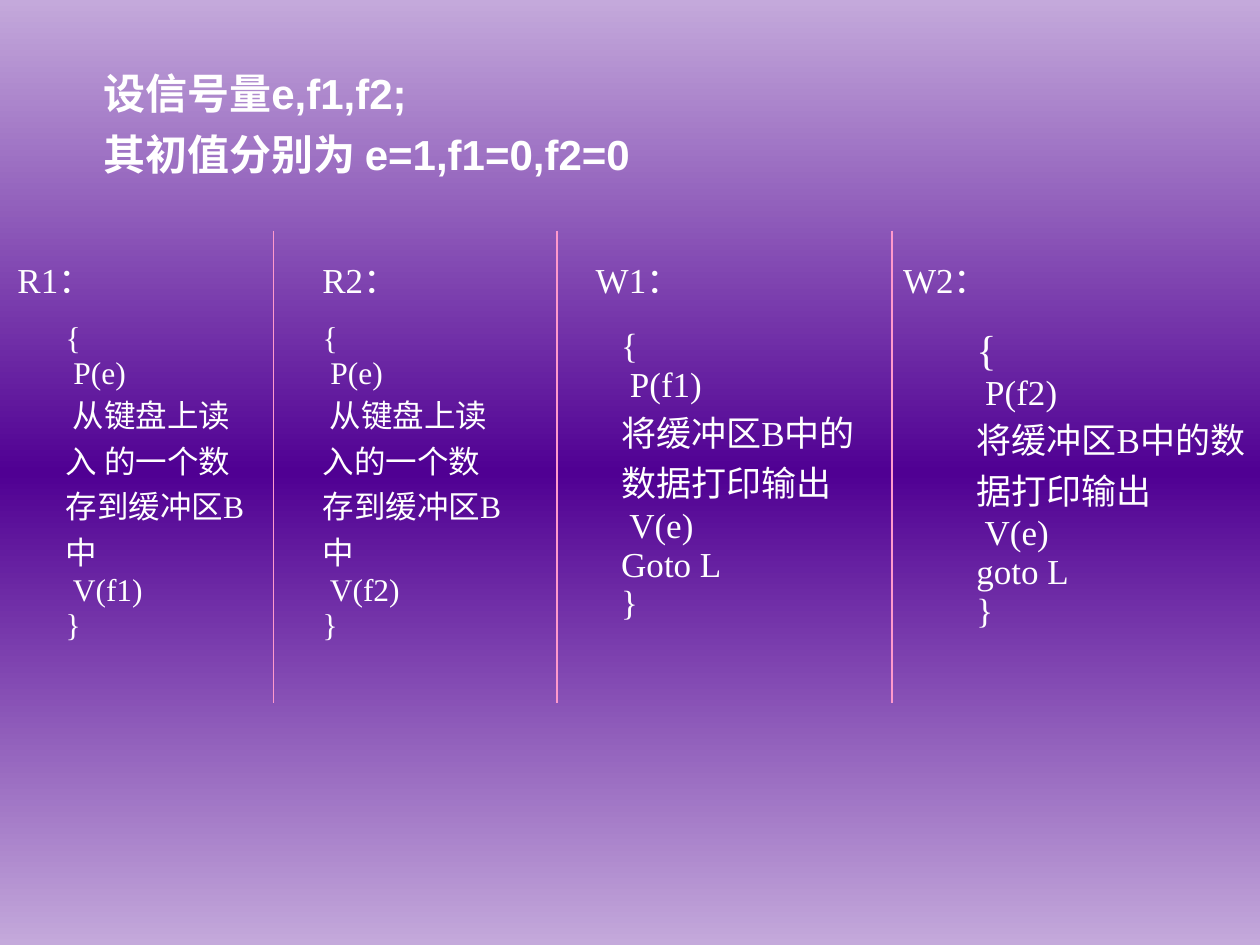
import copy

import pptx
import pptx.dml.color
import pptx.enum.shapes
import pptx.enum.text
import pptx.oxml
import pptx.oxml.ns
import pptx.util
from pptx.util import Inches

COLORS = {"edge": "C4A9DB", "middle": "500093", "text": "FFFFFF", "rule": "FF99CC"}
NO_STYLE = "{2D5ABB26-0587-4C30-8999-92F81FD0307C}"

READERS = [
    ["{", " P(e)", f" 从键盘上读{gap}的一个数存到缓冲区B中", f" V({signal})", "}"]
    for gap, signal in (("入 ", "f1"), ("入", "f2"))
]
WRITERS = [
    ["{", f" P({signal})", "将缓冲区B中的数据打印输出", " V(e)", f"{jump} L", "}"]
    for signal, jump in (("f1", "Goto"), ("f2", "goto"))
]


def rgb(name):
    """Return the named colour."""
    return pptx.dml.color.RGBColor.from_string(COLORS[name])


def format_runs(paragraph, size, font="Times New Roman", bold=False):
    """Format every run of a paragraph."""
    for span in paragraph.runs:
        span.font.name = font
        span.font.size = pptx.util.Pt(size)
        span.font.bold = bold
        span.font.color.rgb = rgb("text")


def paint_background(page):
    """Fill the page with a vertical gradient, dark in the middle."""
    fill = page.background.fill
    fill.gradient()
    fill.gradient_angle = 90
    stop_list = page._element.xpath(".//a:gsLst")[0]
    stop_list.insert(1, copy.deepcopy(stop_list[0]))
    for stop, position, name in zip(
        fill.gradient_stops, (0, 0.5, 1), ("edge", "middle", "edge")
    ):
        stop.position = position
        stop.color.rgb = rgb(name)


def place_title(page, left, top, width, height):
    """Place the two-line heading."""
    title = page.shapes.title
    title.left, title.top, title.width, title.height = left, top, width, height
    frame = title.text_frame
    frame.text = "设信号量e,f1,f2;\n其初值分别为 e=1,f1=0,f2=0"
    frame.word_wrap = True
    frame.auto_size = pptx.enum.text.MSO_AUTO_SIZE.NONE
    frame.vertical_anchor = pptx.enum.text.MSO_ANCHOR.MIDDLE
    for paragraph in frame.paragraphs:
        paragraph.alignment = pptx.enum.text.PP_ALIGN.LEFT
        format_runs(paragraph, 24, "Arial", True)
    frame.paragraphs[1].space_before = pptx.util.Pt(6)


def place_labels(page, left, top, width, height, names, stop):
    """Place a pair of process names, the second at a tab stop."""
    box = page.shapes.add_textbox(left, top, width, height)
    frame = box.text_frame
    frame.word_wrap = True
    frame.vertical_anchor = pptx.enum.text.MSO_ANCHOR.MIDDLE
    paragraph = frame.paragraphs[0]
    paragraph.text = "\t".join(f"{name}：" for name in names)
    tabs = pptx.oxml.parse_xml(
        f'<a:tabLst {pptx.oxml.ns.nsdecls("a")}><a:tab pos="{stop}" algn="l"/></a:tabLst>'
    )
    paragraph._p.get_or_add_pPr().append(tabs)
    format_runs(paragraph, 20)


def place_code(page, left, top, widths, height, programs, size, margin_top):
    """Place two programs in a plain table with a gap column; return the table."""
    table_frame = page.shapes.add_table(1, 3, left, top, sum(widths), height)
    table = table_frame.table
    table.first_row = table.horz_banding = False
    table_frame._element.xpath(".//a:tableStyleId")[0].text = NO_STYLE
    for column, width in zip(table.columns, widths):
        column.width = width
    for cell, lines in zip(table.rows[0].cells, (programs[0], [], programs[1])):
        cell.fill.background()
        cell.margin_top = margin_top
        cell.text_frame.text = "\n".join(lines)
        for paragraph in cell.text_frame.paragraphs:
            format_runs(paragraph, size)
    return table


def place_dividers(page, top, height, positions):
    """Draw the vertical rules between the processes."""
    for left in positions:
        line = page.shapes.add_connector(
            pptx.enum.shapes.MSO_CONNECTOR.STRAIGHT, left, top, left, top + height
        )
        line.line.color.rgb = rgb("rule")
        line.line.width = pptx.util.Pt(0.75)
        line._element.spPr.append(
            pptx.oxml.parse_xml(f'<a:effectLst {pptx.oxml.ns.nsdecls("a")}/>')
        )


def main():
    """Build and save the deck."""
    deck = pptx.Presentation()
    deck.slide_width, deck.slide_height = Inches(10), Inches(7.5)
    page = deck.slides.add_slide(deck.slide_layouts[5])
    paint_background(page)
    place_title(page, Inches(0.72), Inches(0.49), Inches(5), Inches(0.98))
    for left, names, stop in ((0.04, ("R1", "R2"), 2.42), (4.63, ("W1", "W2"), 2.44)):
        place_labels(
            page, Inches(left), Inches(2), Inches(3.5), Inches(0.43), names, Inches(stop)
        )
    place_code(
        page, Inches(0.42), Inches(2.5), [Inches(w) for w in (1.68, 0.36, 1.68)],
        Inches(2.5), READERS, 18, Inches(0.05),
    )
    writers = place_code(
        page, Inches(4.83), Inches(2.17), [Inches(w) for w in (2.31, 0.51, 2.35)],
        Inches(2.97), WRITERS, 20, Inches(0.43),
    )
    format_runs(writers.cell(0, 2).text_frame.paragraphs[0], 24)
    place_dividers(page, Inches(1.83), Inches(3.75), [Inches(x) for x in (2.17, 4.42, 7.08)])
    deck.save("out.pptx")


if __name__ == "__main__":
    main()
